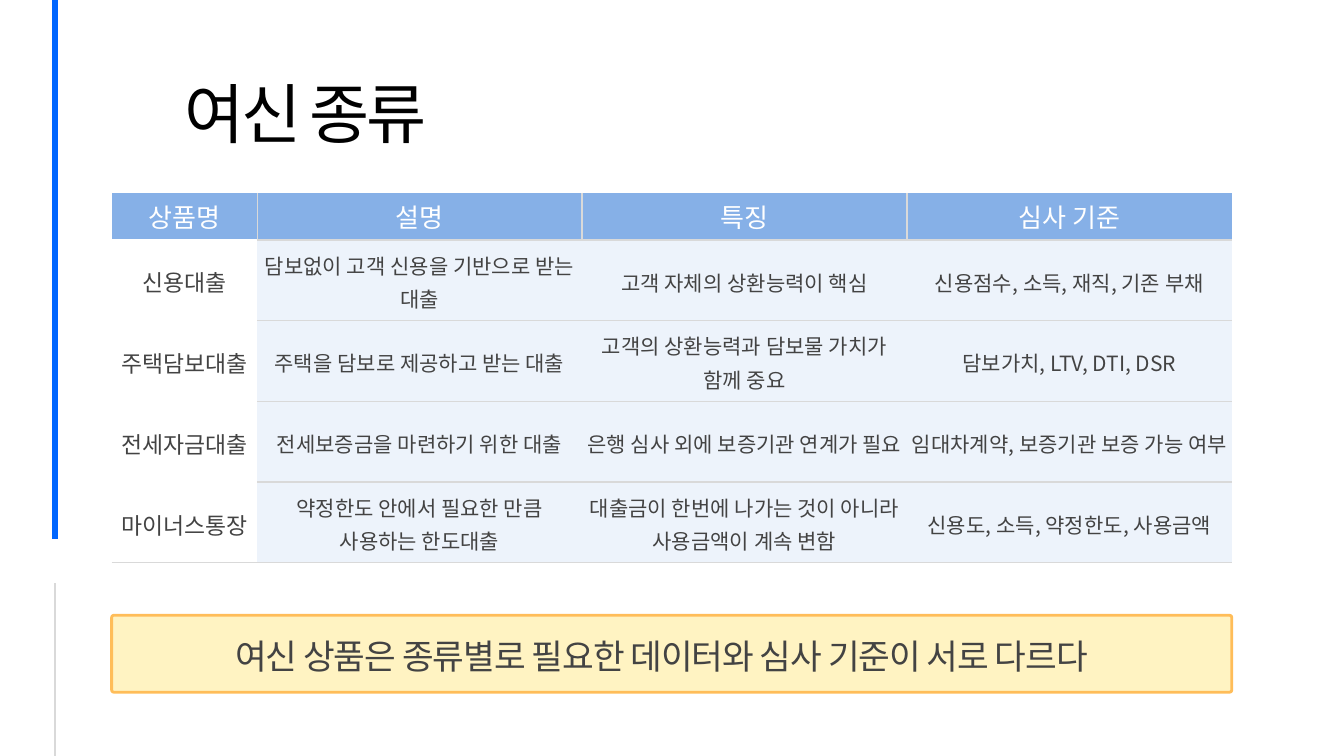
from dataclasses import dataclass
from typing import Optional

from lxml.etree import SubElement
from pptx import Presentation
from pptx.dml.color import RGBColor
from pptx.enum.shapes import MSO_CONNECTOR as CONN, MSO_SHAPE as SHAPE
from pptx.enum.text import MSO_ANCHOR as ANCHOR, PP_ALIGN as ALIGN
from pptx.oxml.ns import qn
from pptx.util import Cm, Pt


@dataclass(frozen=True)
class Theme:
    font: str = "Noto Sans CJK KR"
    black: str = "000000"
    ink: str = "434343"
    white: str = "FFFFFF"
    accent: str = "0066FF"
    rule: str = "D9D9D9"
    header: str = "86B0E7"
    body: str = "EDF3FB"
    note_fill: str = "FFF3C2"
    note_line: str = "FFBD59"
    title_size: float = 70
    note_size: float = 36.9
    header_size: float = 27.9
    name_size: float = 24.5
    body_size: float = 22.5
    border: float = 1.55


@dataclass(frozen=True)
class Bar:
    top: float
    bottom: float
    color: str
    width: float


@dataclass(frozen=True)
class CellStyle:
    size: float
    color: str
    leading: float
    fill: Optional[str]


T = Theme()
SLIDE_W, SLIDE_H = 50.8, 28.58
BAR_X = 2.08
LEFT, WIDTH = 4.22, 42.34
TABLE_TOP = 7.29
COLS = [5.5] + [12.28] * 3
ROWS = [1.78] + [3.05] * 4

BARS = [
    Bar(0, 20.37, T.accent, 6),
    Bar(22.05, SLIDE_H, T.rule, 2.25),
]
HEADER = CellStyle(T.header_size, T.white, 39.1, T.header)
NAME = CellStyle(T.name_size, T.ink, 39.3, None)
BODY = CellStyle(T.body_size, T.ink, 36.1, T.body)

LOANS = [
    ("상품명", "설명", "특징", "심사 기준"),
    ("신용대출", "담보없이 고객 신용을 기반으로 받는 대출",
     "고객 자체의 상환능력이 핵심", "신용점수, 소득, 재직, 기존 부채"),
    ("주택담보대출", "주택을 담보로 제공하고 받는 대출",
     "고객의 상환능력과 담보물 가치가 함께 중요", "담보가치, LTV, DTI, DSR"),
    ("전세자금대출", "전세보증금을 마련하기 위한 대출",
     "은행 심사 외에 보증기관 연계가 필요", "임대차계약, 보증기관 보증 가능 여부"),
    ("마이너스통장", "약정한도 안에서 필요한 만큼 사용하는 한도대출",
     "대출금이 한번에 나가는 것이 아니라 사용금액이 계속 변함",
     "신용도, 소득, 약정한도, 사용금액"),
]


def rgb(color: str) -> RGBColor:
    return RGBColor.from_string(color)


def write(tf, text: str, *, size: float, color: str, leading: float,
          align=ALIGN.LEFT, spacing: float = 0) -> None:
    tf.word_wrap = True
    p = tf.paragraphs[0]
    p.alignment = align
    p.line_spacing = Pt(leading)
    r = p.add_run()
    r.text = text
    r.font.name = T.font
    r.font.size = Pt(size)
    r.font.color.rgb = rgb(color)
    rPr = r.font._element
    if spacing:
        rPr.set("spc", str(round(spacing * 100)))
    SubElement(rPr, qn("a:ea")).set("typeface", T.font)


def add_text(s, text: str, left: float, top: float, width: float,
             height: float, **fmt) -> None:
    tf = s.shapes.add_textbox(Cm(left), Cm(top), Cm(width), Cm(height)).text_frame
    tf.margin_left = tf.margin_right = tf.margin_top = tf.margin_bottom = 0
    write(tf, text, **fmt)


def add_bar(s, bar: Bar) -> None:
    line = s.shapes.add_connector(
        CONN.STRAIGHT, Cm(BAR_X), Cm(bar.top), Cm(BAR_X), Cm(bar.bottom))
    line.line.color.rgb = rgb(bar.color)
    line.line.width = Pt(bar.width)
    SubElement(line._element.spPr, qn("a:effectLst"))


def set_borders(cell, **colors: Optional[str]) -> None:
    tcPr = cell._tc.get_or_add_tcPr()
    for side in "LRTB":
        color = colors.get(side)
        ln = SubElement(tcPr, qn(f"a:ln{side}"))
        ln.set("w", str(Pt(T.border) if color else 0))
        if color:
            fill = SubElement(ln, qn("a:solidFill"))
            SubElement(fill, qn("a:srgbClr")).set("val", color)
        else:
            SubElement(ln, qn("a:noFill"))


def fill_cell(cell, text: str, row: int, col: int) -> None:
    style = HEADER if row == 0 else NAME if col == 0 else BODY
    last_row, last_col = len(ROWS) - 1, len(COLS) - 1
    rule = T.white if col == 0 else T.rule
    set_borders(
        cell,
        L=T.rule if row == 0 and col > 0 else None,
        R=T.rule if row == 0 and col < last_col else None,
        T=rule if row > 0 else None,
        B=T.rule if row == last_row else rule,
    )
    if style.fill:
        cell.fill.solid()
        cell.fill.fore_color.rgb = rgb(style.fill)
    else:
        cell.fill.background()
    cell.margin_left = cell.margin_right = cell.margin_top = cell.margin_bottom = 0
    cell.vertical_anchor = ANCHOR.MIDDLE
    write(cell.text_frame, text, size=style.size, color=style.color,
          leading=style.leading, align=ALIGN.CENTER)


def add_loan_table(s) -> None:
    table = s.shapes.add_table(
        len(ROWS), len(COLS), Cm(LEFT), Cm(TABLE_TOP),
        Cm(sum(COLS)), Cm(sum(ROWS))).table
    table.first_row = table.horz_banding = False
    for column, width in zip(table.columns, COLS):
        column.width = Cm(width)
    for row, height in zip(table.rows, ROWS):
        row.height = Cm(height)
    for i, texts in enumerate(LOANS):
        for j, text in enumerate(texts):
            fill_cell(table.cell(i, j), text, i, j)


def add_note(s, text: str) -> None:
    sp = s.shapes.add_shape(
        SHAPE.ROUNDED_RECTANGLE, Cm(LEFT), Cm(23.26), Cm(WIDTH), Cm(2.91))
    sp.adjustments[0] = 0.03
    sp.shadow.inherit = False
    sp.fill.solid()
    sp.fill.fore_color.rgb = rgb(T.note_fill)
    sp.line.color.rgb = rgb(T.note_line)
    sp.line.width = Pt(3)
    add_text(s, text, 8.89, 23.62, 33, 1.85, size=T.note_size,
             color=T.ink, leading=55.3, spacing=-1.1)


def main() -> None:
    prs = Presentation()
    prs.slide_width, prs.slide_height = Cm(SLIDE_W), Cm(SLIDE_H)
    s = prs.slides.add_slide(prs.slide_layouts[6])
    for bar in BARS:
        add_bar(s, bar)
    add_loan_table(s)
    add_text(s, "여신 종류", 6.99, 3.02, 37.03, 2.79, size=T.title_size,
             color=T.black, leading=77, spacing=-3.5)
    add_note(s, "여신 상품은 종류별로 필요한 데이터와 심사 기준이 서로 다르다")
    prs.save("out.pptx")


if __name__ == "__main__":
    main()
